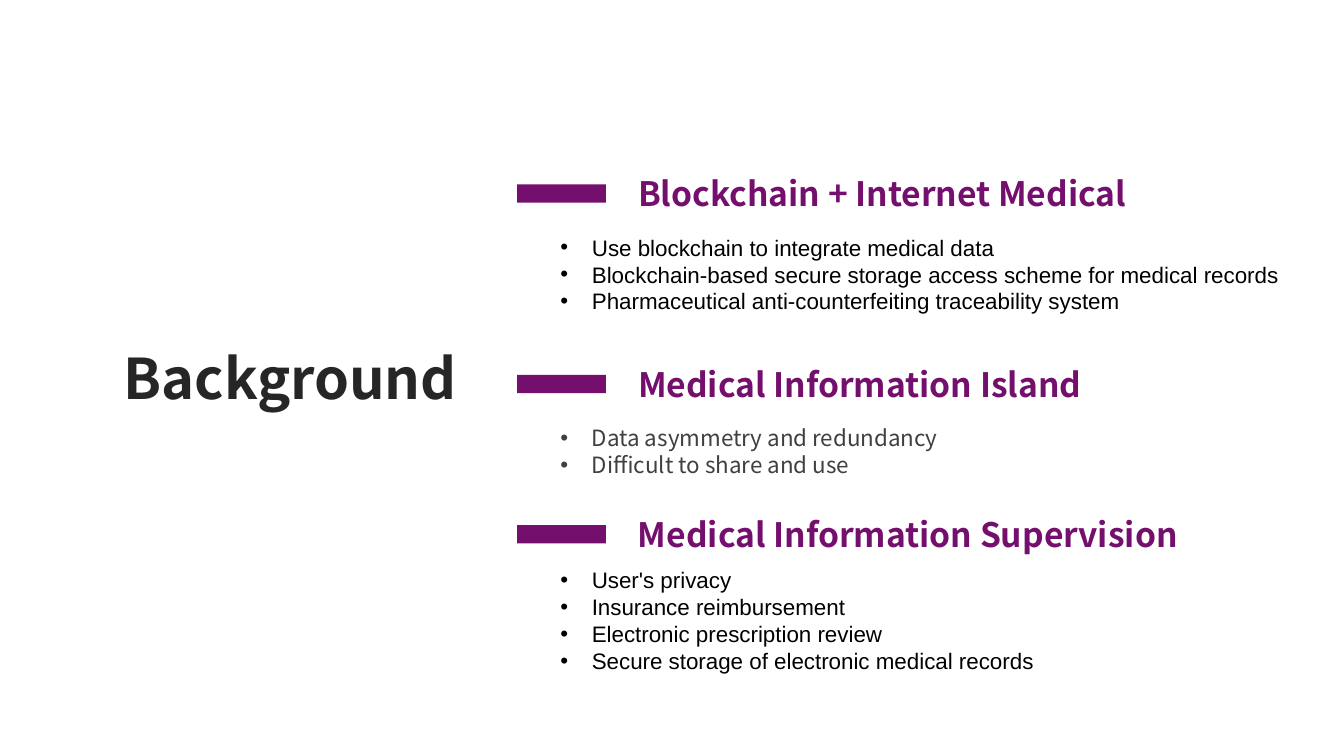
from pptx import Presentation
from pptx.dml.color import RGBColor
from pptx.enum.shapes import MSO_SHAPE
from pptx.enum.text import MSO_ANCHOR, MSO_AUTO_SIZE, PP_ALIGN
from pptx.oxml.ns import qn
from pptx.util import Pt
from lxml.etree import SubElement

PURPLE = "750F6D"
SANS = "Noto Sans CJK SC"
LINE_FACTOR = 1.2
INDENT = 22.5

# Heading, heading top, gap to list, list font, list colour, list items
SECTIONS = [
    ("Blockchain + Internet Medical", 120.2, 43.2, "Arial", "000000", [
        "Use blockchain to integrate medical data",
        "Blockchain-based secure storage access scheme for medical records",
        "Pharmaceutical anti-counterfeiting traceability system",
    ]),
    ("Medical Information Island", 256.3, 43.2, SANS, "404040", [
        "Data asymmetry and redundancy",
        "Difficult to share and use",
    ]),
    ("Medical Information Supervision", 363.6, 37.4, "Arial", "000000", [
        "User's privacy",
        "Insurance reimbursement",
        "Electronic prescription review",
        "Secure storage of electronic medical records",
    ]),
]


def color(hex_value):
    return RGBColor.from_string(hex_value)


def place(shape, left, top, width, height):
    shape.left, shape.top = Pt(left), Pt(top)
    shape.width, shape.height = Pt(width), Pt(height)


def set_bullet(paragraph, bulleted):
    properties = paragraph._p.get_or_add_pPr()
    indent = Pt(INDENT) if bulleted else 0
    properties.set("marL", str(indent))
    properties.set("indent", str(-indent))
    if bulleted:
        SubElement(properties, qn("a:buFont"), typeface="Arial")
        SubElement(properties, qn("a:buChar"), char="•")
    else:
        SubElement(properties, qn("a:buNone"))


def write_lines(shape, lines, size, font_name, hex_value,
                bold=False, bulleted=False, align=PP_ALIGN.LEFT):
    frame = shape.text_frame
    frame.word_wrap = True
    frame.auto_size = MSO_AUTO_SIZE.NONE
    frame.vertical_anchor = MSO_ANCHOR.TOP
    for index, line in enumerate(lines):
        paragraph = frame.add_paragraph() if index else frame.paragraphs[0]
        paragraph.alignment = align
        paragraph.space_before = paragraph.space_after = Pt(0)
        paragraph.line_spacing = Pt(size * LINE_FACTOR)
        set_bullet(paragraph, bulleted)
        run = paragraph.add_run()
        run.text = line
        run.font.size = Pt(size)
        run.font.name = font_name
        run.font.bold = bold
        run.font.color.rgb = color(hex_value)


def add_bar(slide, top):
    bar = slide.shapes.add_shape(
        MSO_SHAPE.RECTANGLE, Pt(369.4), Pt(top), Pt(63.4), Pt(13))
    bar.shadow.inherit = False
    bar.fill.solid()
    bar.fill.fore_color.rgb = color(PURPLE)
    bar.line.fill.background()


def next_text_shape(slide, placeholders):
    """Take the next free body placeholder, or a text box when none is left."""
    if placeholders:
        return placeholders.pop(0)
    return slide.shapes.add_textbox(0, 0, 0, 0)


def main():
    presentation = Presentation()
    presentation.slide_width, presentation.slide_height = Pt(960), Pt(540)
    # The comparison layout holds a title and two heading and list pairs
    slide = presentation.slides.add_slide(presentation.slide_layouts[4])

    # Title
    title = slide.shapes.title
    place(title, 73.4, 241.9, 267.8, 55.4)
    write_lines(title, ["Background"], 40, SANS, "262626",
                bold=True, align=PP_ALIGN.CENTER)

    # Sections: bar, heading and bulleted list
    bodies = [shape for shape in slide.placeholders
              if shape.placeholder_format.idx in range(1, 5)]
    for heading, top, gap, font_name, hex_value, items in SECTIONS:
        add_bar(slide, top + 11.5)
        heading_shape = next_text_shape(slide, bodies)
        place(heading_shape, 448.6, top, 480, 36)
        write_lines(heading_shape, [heading], 24, SANS, PURPLE, bold=True)

        list_shape = next_text_shape(slide, bodies)
        place(list_shape, 393.1, top + gap, 566,
              len(items) * 16 * LINE_FACTOR + 7.2)
        write_lines(list_shape, items, 16, font_name, hex_value, bulleted=True)

    presentation.save("out.pptx")


if __name__ == "__main__":
    main()
